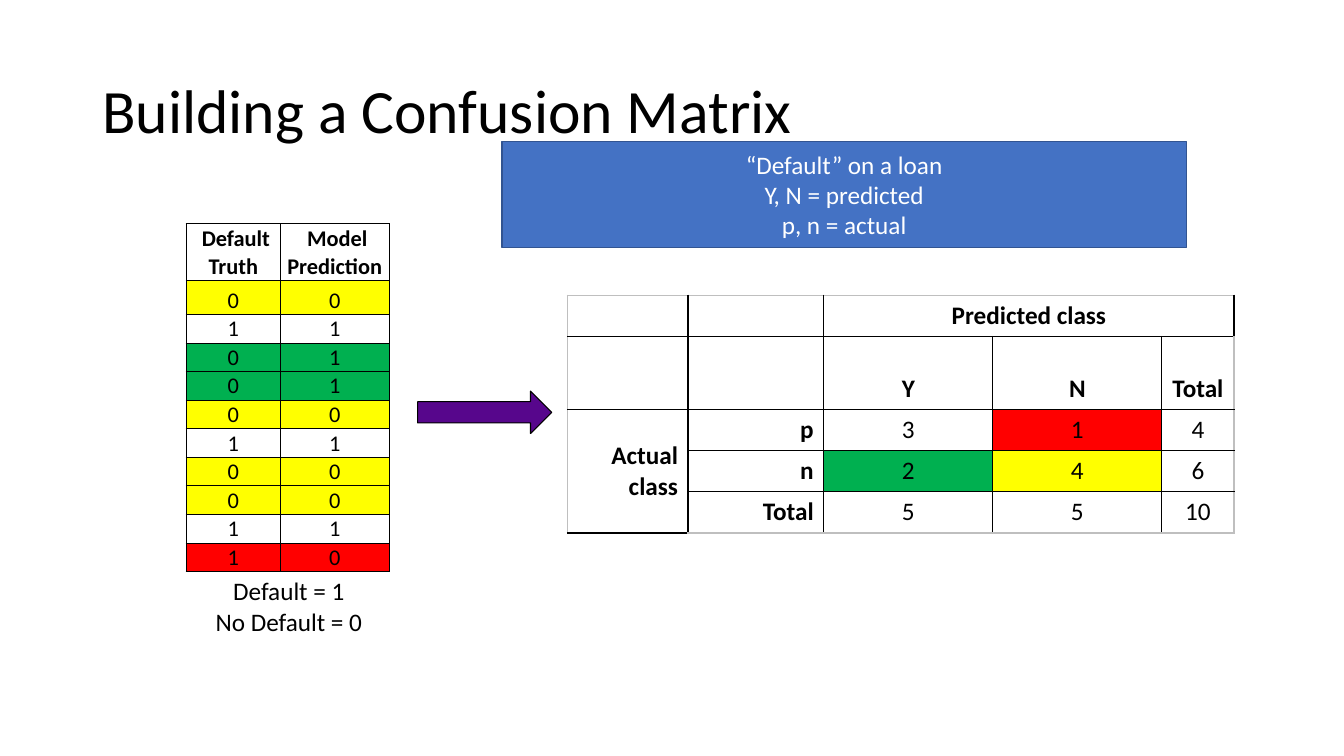
"""Build the slide on turning loan predictions into a confusion matrix."""
from lxml.etree import SubElement as Sub
from pptx import Presentation
from pptx.dml.color import RGBColor
from pptx.enum.shapes import MSO_SHAPE as Kind
from pptx.enum.text import MSO_ANCHOR as Anchor, MSO_AUTO_SIZE as Auto, PP_ALIGN as Align
from pptx.oxml.ns import qn
from pptx.util import Cm, Pt

hue = RGBColor.from_string
BLACK, GREY, RED, GREEN, GOLD = "000000", "BFBFBF", "FF0000", "00B050", "FFFF00"


def write(frame, text, size=18, bold=False, color=BLACK, align=Align.CENTER, before=0, line=1.0):
    frame.word_wrap = True
    for i, words in enumerate(text.split("\n")):
        para = frame.add_paragraph() if i else frame.paragraphs[0]
        para.alignment, para.space_before, para.line_spacing = align, Pt(before), line
        run = para.add_run()
        run.text = words
        font = run.font
        font.name, font.size, font.bold = "Calibri", Pt(size), bold
        font.color.rgb = hue(color)


def style(cell, fill, edges):
    props = cell._tc.get_or_add_tcPr()
    for side, (color, width) in zip("LRTB", edges):
        line = Sub(props, qn("a:ln" + side), w=str(Pt(width)))
        Sub(Sub(line, qn("a:solidFill")), qn("a:srgbClr"), val=color)
    if fill:
        cell.fill.solid()
        cell.fill.fore_color.rgb = hue(fill)
    else:
        cell.fill.background()


deck = Presentation()
deck.slide_width, deck.slide_height = Cm(33.87), Cm(19.05)
slide = deck.slides.add_slide(deck.slide_layouts[5])
shapes = slide.shapes

title = shapes.title
title.left, title.top, title.width, title.height = Cm(2.33), Cm(1.01), Cm(29.21), Cm(3.68)
title.text_frame.vertical_anchor = Anchor.MIDDLE
write(title.text_frame, "Building a Confusion Matrix", size=44, align=Align.LEFT, line=0.9)

pairs = ["00", "11", "01", "01", "00", "11", "00", "00", "11", "10"]
tints = {"00": GOLD, "01": GREEN, "10": RED, "11": None}
truth = [[" Default\nTruth", " Model\nPrediction"]] + [list(p) for p in pairs]
highs = [1.42, 0.86] + [0.72] * 9
table = shapes.add_table(11, 2, Cm(4.69), Cm(5.64), Cm(5.11), Cm(sum(highs))).table
table.first_row = table.horz_banding = False
for col, wide in zip(table.columns, [2.38, 2.73]):
    col.width = Cm(wide)
for r, (row, high) in enumerate(zip(truth, highs)):
    table.rows[r].height = Cm(high)
    for c, text in enumerate(row):
        cell = table.cell(r, c)
        cell.margin_left = cell.margin_right = cell.margin_top = Cm(0.02)
        cell.margin_bottom = 0
        cell.vertical_anchor = Anchor.BOTTOM
        thin = (BLACK, 0.5)
        style(cell, tints["".join(row)] if r else None,
              [thin if c else (BLACK, 1), thin, thin if r else (BLACK, 1), thin])
        write(cell.text_frame, text, size=16, bold=r == 0)

matrix = [
    ["", "", "Predicted class", "", ""],
    ["", "", "Y", "N", "Total"],
    ["Actual class", "p", "3", "1", "4"],
    ["", "n", "2", "4", "6"],
    ["", "Total", "5", "5", "10"],
]
marks = {(2, 3): RED, (3, 2): GREEN, (3, 3): GOLD}
highs = [1.04, 1.83, 1.04, 1.04, 1.04]
table = shapes.add_table(5, 5, Cm(14.3), Cm(7.44), Cm(16.74), Cm(sum(highs))).table
table.first_row = table.horz_banding = False
for col, wide in zip(table.columns, [3.04, 3.42, 4.26, 4.26, 1.82]):
    col.width = Cm(wide)
for r, (row, high) in enumerate(zip(matrix, highs)):
    table.rows[r].height = Cm(high)
    for c, text in enumerate(row):
        cell = table.cell(r, c)
        cell.vertical_anchor = Anchor.BOTTOM if r == 1 else Anchor.MIDDLE
        outer = [c == 0, c == 4, r == 0, r == 4]
        style(cell, marks.get((r, c)), [(GREY if out else BLACK, 1) for out in outer])
        if text:
            write(cell.text_frame, text, bold=r < 2 or c < 2, before=3.6,
                  align=Align.RIGHT if c < 2 else Align.CENTER)
table.cell(0, 2).merge(table.cell(0, 4))
table.cell(2, 0).merge(table.cell(4, 0))

arrow = shapes.add_shape(Kind.DOWN_ARROW, Cm(11.68), Cm(8.7), Cm(1.07), Cm(3.38))
arrow.rotation = 270
box = shapes.add_shape(Kind.RECTANGLE, Cm(12.65), Cm(3.57), Cm(17.25), Cm(2.67))
for shape, fill, edge, wide in [(arrow, "57068C", BLACK, 0.75), (box, "4472C4", "325491", 1)]:
    shape.shadow.inherit = False
    shape.fill.solid()
    shape.fill.fore_color.rgb = hue(fill)
    shape.line.color.rgb = hue(edge)
    shape.line.width = Pt(wide)
box.text_frame.vertical_anchor = Anchor.MIDDLE
write(box.text_frame, "“Default” on a loan\nY, N = predicted\np, n = actual", color="FFFFFF")

key = shapes.add_textbox(Cm(1.96), Cm(14.38), Cm(10.64), Cm(1.8))
key.text_frame.auto_size = Auto.SHAPE_TO_FIT_TEXT
write(key.text_frame, "Default = 1\nNo Default = 0")

deck.save("out.pptx")
